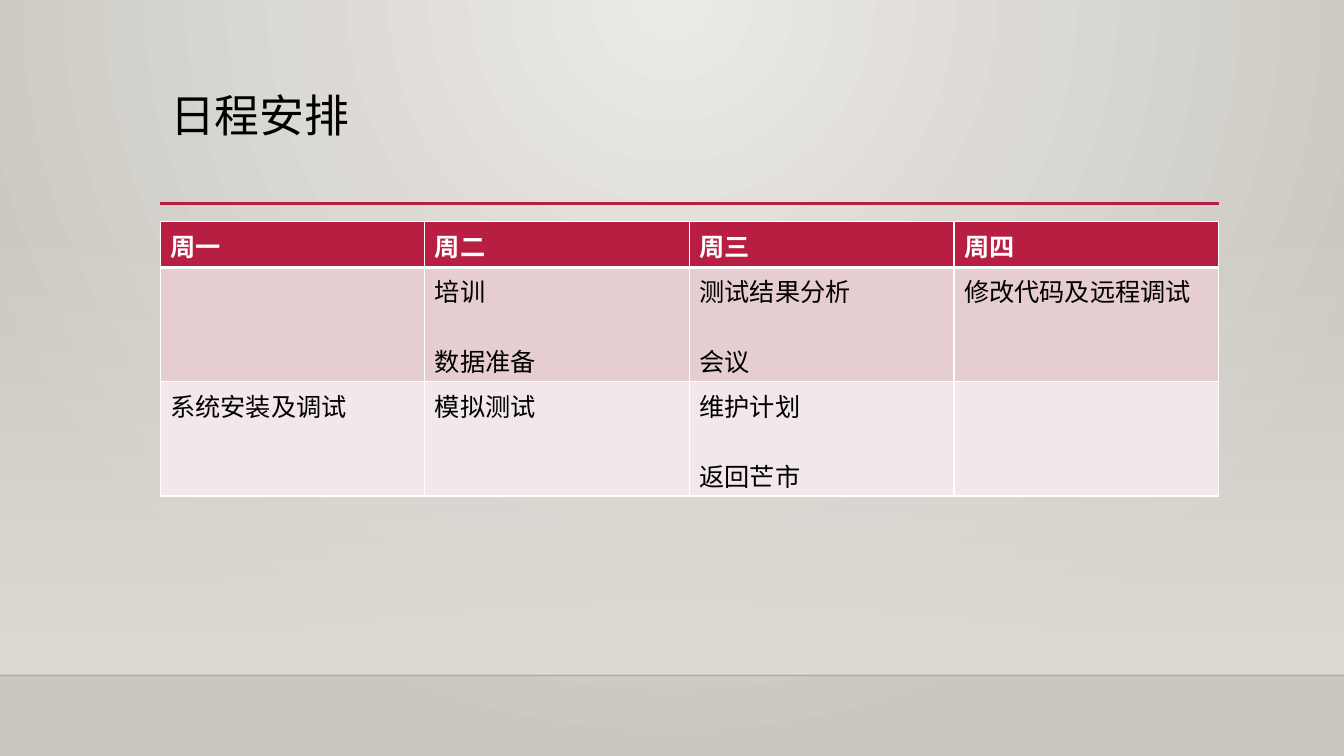
import pptx
import pptx.util
import pptx.dml.color
import pptx.enum.shapes
import pptx.oxml
import pptx.oxml.ns
import lxml.etree

Cm, Pt = pptx.util.Cm, pptx.util.Pt
qn = pptx.oxml.ns.qn

TITLE = "日程安排"
DAYS = ["周一", "周二", "周三", "周四"]
# Each cell is a list of agenda items
SCHEDULE = [
    [[], ["培训", "数据准备"], ["测试结果分析", "会议"], ["修改代码及远程调试"]],
    [["系统安装及调试"], ["模拟测试"], ["维护计划", "返回芒市"], []],
]
COLORS = {
    "glow": "ECEAE7", "edge": "CAC7C1", "wall": "DFDBD5", "floor_line": "000001",
    "accent": "B71E42", "text": "000000", "white": "FFFFFF",
}
ROW_FILLS = ["E6CDCF", "F3E8E9"]
FONT = "Calibri"

SLIDE_W, SLIDE_H = 33.87, 19.05
LEFT, WIDTH = 4.04, 26.67
RULE_Y, TABLE_Y = 5.13, 5.59
WALL_Y, FLOOR_Y = 5.61, 17.02
HEADER_H, ROW_H = 1.15, 2.88


def rgb(name):
    return pptx.dml.color.RGBColor.from_string(COLORS.get(name, name))


def add_alpha(color_el, percent):
    alpha = lxml.etree.SubElement(color_el, qn("a:alpha"))
    alpha.set("val", str(percent * 1000))


def set_gradient(fill, start, end):
    fill.gradient()
    for stop, name in zip(fill.gradient_stops, (start, end)):
        stop.color.rgb = rgb(name)


def add_line(slide, x1, x2, y, color, width):
    line = slide.shapes.add_connector(
        pptx.enum.shapes.MSO_CONNECTOR.STRAIGHT, Cm(x1), Cm(y), Cm(x2), Cm(y))
    line.line.color.rgb = rgb(color)
    line.line.width = Pt(width)
    lxml.etree.SubElement(line.element.spPr, qn("a:effectLst"))
    return line


def add_run(p, text, size, color, bold=False):
    r = p.add_run()
    r.text = text
    r.font.size = Pt(size)
    r.font.name = FONT
    r.font.bold = bold
    r.font.color.rgb = rgb(color)


def set_borders(cell, widths):
    """Draw white borders; widths maps the sides L, R, T, B to points."""
    tc_pr = cell._tc.get_or_add_tcPr()
    for side, width in widths.items():
        tc_pr.append(pptx.oxml.parse_xml(
            f'<a:ln{side} {pptx.oxml.ns.nsdecls("a")} w="{Pt(width)}"><a:solidFill>'
            f'<a:srgbClr val="{COLORS["white"]}"/></a:solidFill></a:ln{side}>'))


def fill_cell(cell, items, fill, color, bold, widths):
    set_borders(cell, widths)
    cell.fill.solid()
    cell.fill.fore_color.rgb = rgb(fill)
    tf = cell.text_frame
    for i, item in enumerate(items):
        p = tf.add_paragraph() if i else tf.paragraphs[0]
        if i:
            p.space_before = Pt(24)
        add_run(p, item, 18, color, bold)


def add_backdrop(slide):
    set_gradient(slide.background.fill, "glow", "edge")
    grad = slide.element.find(".//" + qn("a:gradFill"))
    grad.replace(grad.find(qn("a:lin")), pptx.oxml.parse_xml(
        f'<a:path {pptx.oxml.ns.nsdecls("a")} path="circle">'
        '<a:fillToRect l="43000" r="43000" b="100000"/></a:path>'))

    wall = slide.shapes.add_shape(
        pptx.enum.shapes.MSO_SHAPE.RECTANGLE,
        Cm(0), Cm(WALL_Y), Cm(SLIDE_W), Cm(FLOOR_Y - WALL_Y))
    wall.shadow.inherit = False
    wall.line.fill.background()
    set_gradient(wall.fill, "wall", "wall")
    wall.fill.gradient_angle = 270
    add_alpha(wall.element.find(".//" + qn("a:srgbClr")), 0)

    floor = add_line(slide, 0, SLIDE_W, FLOOR_Y, "floor_line", 1)
    add_alpha(floor.element.find(".//" + qn("a:srgbClr")), 20)


def add_title(slide):
    box = slide.shapes.add_textbox(Cm(LEFT), Cm(2.24), Cm(WIDTH), Cm(2.92))
    tf = box.text_frame
    tf.word_wrap = True
    p = tf.paragraphs[0]
    p.line_spacing = 0.9
    add_run(p, TITLE, 32, "text")


def add_schedule(slide):
    rows = len(SCHEDULE) + 1
    table = slide.shapes.add_table(
        rows, len(DAYS), Cm(LEFT), Cm(TABLE_Y), Cm(WIDTH),
        Cm(HEADER_H + ROW_H * len(SCHEDULE))).table
    for i, row in enumerate(table.rows):
        row.height = Cm(ROW_H if i else HEADER_H)
    thin = dict.fromkeys("LRTB", 1)
    for c, day in enumerate(DAYS):
        fill_cell(table.cell(0, c), [day], "accent", "white", True, {**thin, "B": 3})
        for r, (cells, fill) in enumerate(zip(SCHEDULE, ROW_FILLS), 1):
            widths = {**thin, "T": 3} if r == 1 else thin
            fill_cell(table.cell(r, c), cells[c], fill, "text", False, widths)


def main():
    prs = pptx.Presentation()
    prs.slide_width, prs.slide_height = Cm(SLIDE_W), Cm(SLIDE_H)
    slide = prs.slides.add_slide(prs.slide_layouts[6])
    add_backdrop(slide)
    add_line(slide, LEFT, LEFT + WIDTH, RULE_Y, "accent", 2.5)
    add_title(slide)
    add_schedule(slide)
    prs.save("out.pptx")


if __name__ == "__main__":
    main()
